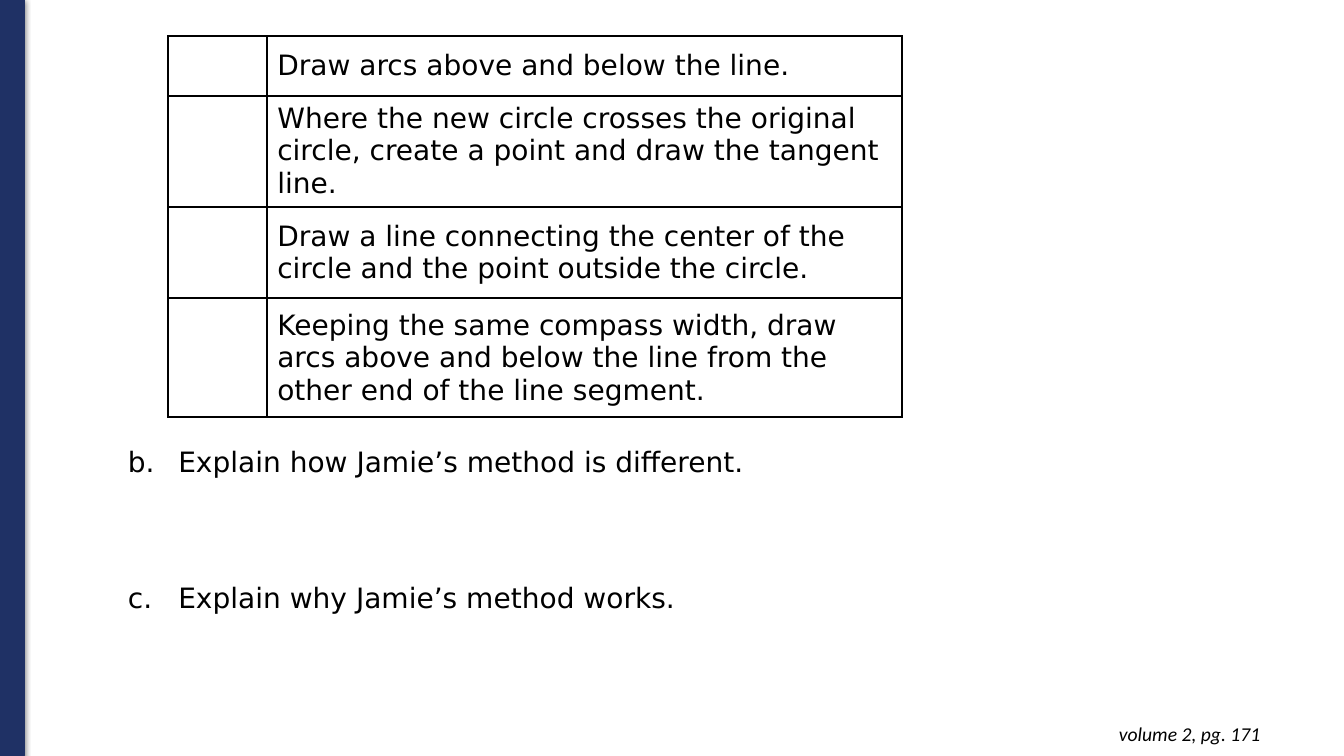
from lxml.etree import SubElement
from pptx import Presentation
from pptx.dml.color import RGBColor
from pptx.enum.shapes import MSO_SHAPE
from pptx.enum.text import MSO_ANCHOR, PP_ALIGN
from pptx.oxml.ns import qn
from pptx.util import Inches, Pt

NAVY, BLACK = "1F3165", "000000"
BODY = {"name": "DejaVu Sans", "size": Pt(20)}
FOOTER = {"name": "Calibri", "size": Pt(14), "italic": True}

COLUMN_WIDTHS = [0.98, 6.3]
STEPS = [
    (0.59, "Draw arcs above and below the line."),
    (1.1, "Where the new circle crosses the original circle, "
          "create a point and draw the tangent line."),
    (0.91, "Draw a line connecting the center of the circle "
           "and the point outside the circle."),
    (1.18, "Keeping the same compass width, draw arcs above and below "
           "the line from the other end of the line segment."),
]
QUESTIONS = ["Explain how Jamie’s method is different.",
             "Explain why Jamie’s method works."]


def color(value):
    return RGBColor.from_string(value)


def add_child(parent, tag, **attributes):
    return SubElement(parent, qn(tag), {key: str(value) for key, value in attributes.items()})


def write(para, text, style):
    span = para.add_run()
    span.text = text
    for name, value in style.items():
        setattr(span.font, name, value)
    span.font.color.rgb = color(BLACK)


def add_text_box(page, box):
    frame = page.shapes.add_textbox(*map(Inches, box)).text_frame
    frame.word_wrap = True
    return frame


def add_side_bar(page, box):
    bar = page.shapes.add_shape(MSO_SHAPE.RECTANGLE, *map(Inches, box))
    bar.fill.solid()
    bar.fill.fore_color.rgb = color(NAVY)
    bar.line.color.rgb = color(NAVY)
    bar.line.width = Pt(0.75)
    # Soft shadow
    bar.shadow.inherit = False
    effects = bar._element.spPr.find(qn("a:effectLst"))
    shadow = add_child(effects, "a:outerShdw", blurRad=Pt(4.5), dist=Pt(1.5),
                       dir=90 * 60000, rotWithShape=0)
    add_child(add_child(shadow, "a:srgbClr", val=BLACK), "a:alpha", val=50000)


def add_borders(cell):
    properties = cell._tc.get_or_add_tcPr()
    for side in ("a:lnL", "a:lnR", "a:lnT", "a:lnB"):
        line = add_child(properties, side, w=Pt(1.5))
        add_child(add_child(line, "a:solidFill"), "a:srgbClr", val=BLACK)


def add_steps_table(page, box):
    table = page.shapes.add_table(len(STEPS), len(COLUMN_WIDTHS), *map(Inches, box)).table
    table.first_row = table.horz_banding = False
    for column, width in zip(table.columns, COLUMN_WIDTHS):
        column.width = Inches(width)
    for row, (height, step) in zip(table.rows, STEPS):
        row.height = Inches(height)
        for cell in row.cells:
            add_borders(cell)
            cell.fill.background()
            cell.vertical_anchor = MSO_ANCHOR.MIDDLE
        write(row.cells[1].text_frame.paragraphs[0], step, BODY)


def add_questions(page, box):
    frame = add_text_box(page, box)
    for index, question in enumerate(QUESTIONS):
        para = frame.add_paragraph() if index else frame.paragraphs[0]
        # Lettered list starting at b, with room to answer between items
        properties = para._p.get_or_add_pPr()
        properties.set("marL", str(Inches(1)))
        properties.set("indent", str(Inches(-0.5)))
        if index:
            para.space_before = Pt(73)
        add_child(add_child(properties, "a:buClr"), "a:srgbClr", val=BLACK)
        add_child(properties, "a:buFont", typeface=BODY["name"])
        add_child(properties, "a:buAutoNum", type="alphaLcPeriod", startAt=2 + index)
        write(para, question, BODY)


def add_page_reference(page, box):
    frame = add_text_box(page, box)
    frame.margin_top = frame.margin_bottom = Inches(0.1)
    para = frame.paragraphs[0]
    para.alignment = PP_ALIGN.RIGHT
    write(para, "volume 2, pg. 171", FOOTER)


def main():
    deck = Presentation()
    deck.slide_width, deck.slide_height = Inches(13.33), Inches(7.5)
    page = deck.slides.add_slide(deck.slide_layouts[6])
    add_side_bar(page, (0, -0.01, 0.24, 7.51))
    add_questions(page, (0.67, 4.36, 9.11, 1.78))
    add_page_reference(page, (9.72, 7.06, 2.88, 0.44))
    add_steps_table(page, (1.67, 0.36, 7.28, 3.78))
    deck.save("out.pptx")


if __name__ == "__main__":
    main()
